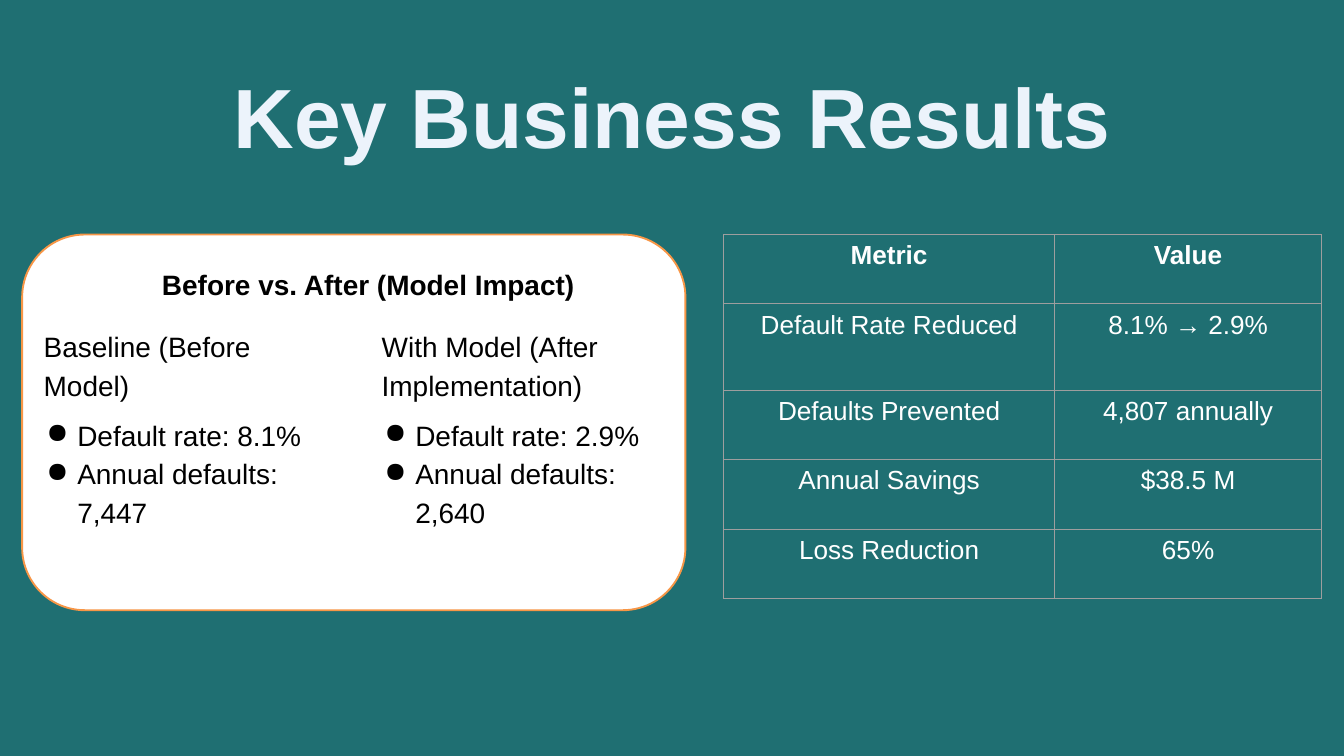
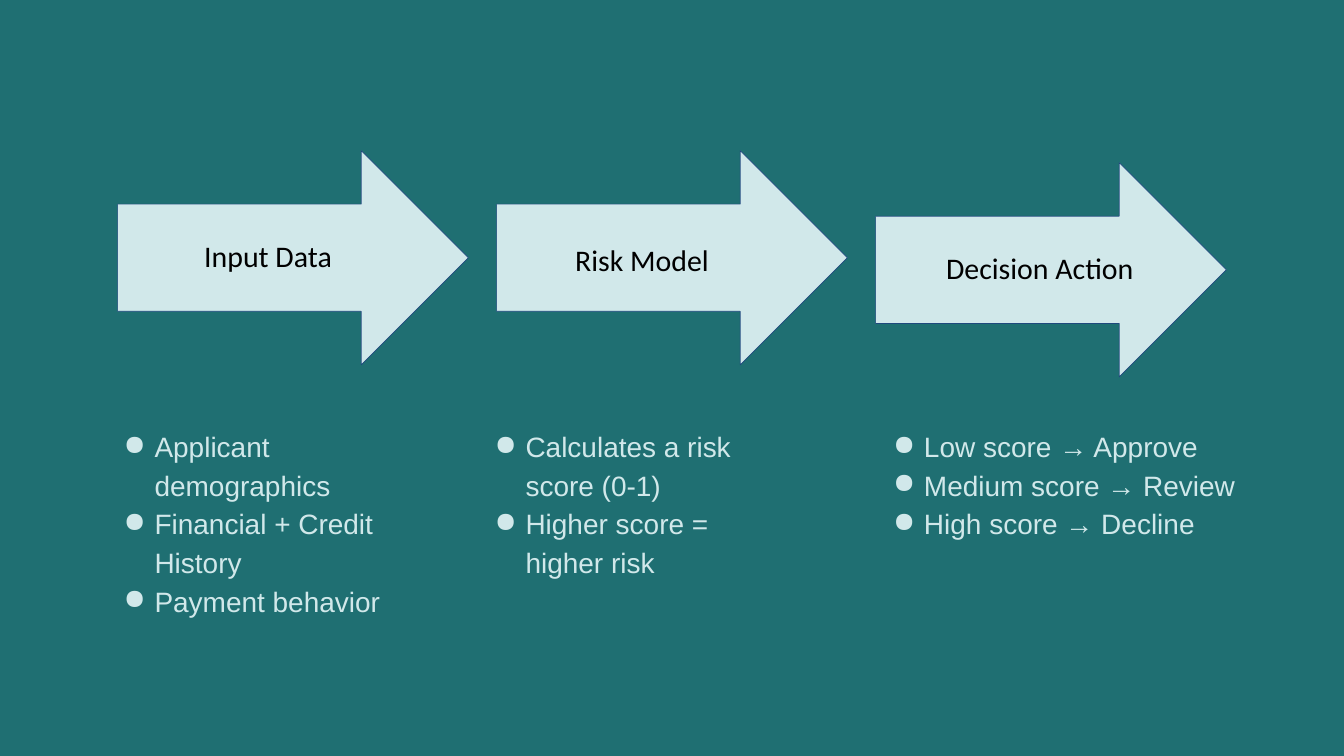
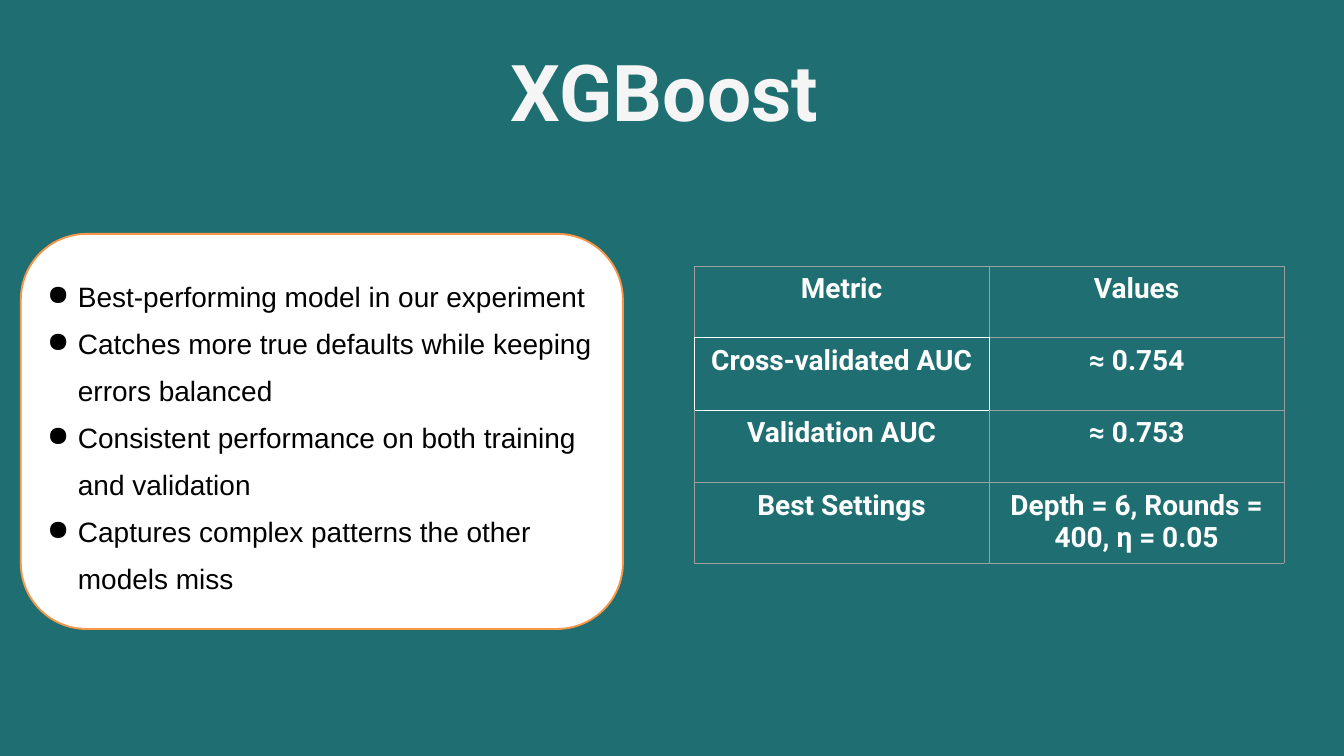
from dataclasses import dataclass
from typing import NamedTuple

from lxml.etree import SubElement
from pptx import Presentation
from pptx.dml.color import RGBColor
from pptx.enum.shapes import MSO_SHAPE
from pptx.enum.text import PP_ALIGN
from pptx.oxml import parse_xml
from pptx.oxml.ns import nsdecls, qn
from pptx.util import Emu, Pt

PX = 9144  # EMU per px, 100 px to the inch
CELL_INSET = 10
BULLET_INDENT, BULLET_HANG = 50, 46

COLORS = {
    "background": "1F6F72",
    "card": "FFFFFF",
    "card_line": "F79646",
    "arrow": "D1E8EA",
    "arrow_line": "1F497D",
    "results_title": "ECF3FB",
    "model_title": "F5F5F5",
    "ink": "000000",
    "table_text": "FFFFFF",
    "grid": "9E9E9E",
    "grid_highlight": "FFFFFF",
}


class Box(NamedTuple):
    left: int
    top: int
    width: int
    height: int

    def emu(self) -> list[Emu]:
        return [Emu(v * PX) for v in self]


@dataclass(frozen=True)
class Para:
    text: str
    bullet: bool = False
    before: int = 0
    indent: int = 0


@dataclass(frozen=True)
class TableData:
    box: Box
    cols: list[int]
    rows: list[int]
    cells: list[tuple[str, str]]
    font: str
    size: int
    bold_rows: int
    highlight: tuple[int, int] | None = None


@dataclass(frozen=True)
class Stage:
    name: str
    arrow_top: int
    label: Box
    notes: Box
    points: list[str]


def rgb(name: str) -> RGBColor:
    return RGBColor.from_string(COLORS[name])


def bullets(points: list[str], before: int = 0) -> list[Para]:
    """Make bullet paragraphs; only the first takes the space before."""
    return [Para(t, True, 0 if i else before) for i, t in enumerate(points)]


def write(tf, paras: list[Para], *, font="Arial", size=30, color="ink",
          bold=False, align=None, spacing=None) -> None:
    for i, para in enumerate(paras):
        p = tf.add_paragraph() if i else tf.paragraphs[0]
        pPr = p._p.get_or_add_pPr()
        if para.bullet:
            pPr.set("marL", str(BULLET_INDENT * PX))
            pPr.set("indent", str(-BULLET_HANG * PX))
            SubElement(pPr, qn("a:buChar")).set("char", "●")
        elif para.indent:
            pPr.set("marL", str(para.indent * PX))
            pPr.set("indent", "0")
        if align is not None:
            p.alignment = align
        if spacing:
            p.line_spacing = spacing
        if para.before:
            p.space_before = Pt(para.before)
        r = p.add_run()
        r.text = para.text
        r.font.name, r.font.size, r.font.bold = font, Pt(size), bold
        r.font.color.rgb = rgb(color)


def add_text(slide, box: Box, paras: list[Para], *, inset: int = 0, **style) -> None:
    tf = slide.shapes.add_textbox(*box.emu()).text_frame
    tf.word_wrap = True
    tf.margin_left = tf.margin_top = tf.margin_right = tf.margin_bottom = Emu(inset * PX)
    write(tf, paras, **style)


def add_title(slide, box: Box, text: str, **style) -> None:
    add_text(slide, box, [Para(text)], bold=True, align=PP_ALIGN.CENTER, **style)


def add_shape(slide, kind: MSO_SHAPE, box: Box, fill: str, line: str, width: float) -> None:
    sp = slide.shapes.add_shape(kind, *box.emu())
    sp.shadow.inherit = False
    sp.fill.solid()
    sp.fill.fore_color.rgb = rgb(fill)
    sp.line.color.rgb = rgb(line)
    sp.line.width = Pt(width)


def add_card(slide, box: Box) -> None:
    add_shape(slide, MSO_SHAPE.ROUNDED_RECTANGLE, box, "card", "card_line", 2)


def set_borders(cell, colors: dict[str, str]) -> None:
    tcPr = cell._tc.get_or_add_tcPr()
    for i, (side, color) in enumerate(colors.items()):
        tcPr.insert(i, parse_xml(
            f'<a:ln{side} {nsdecls("a")} w="{Pt(0.75)}"><a:solidFill>'
            f'<a:srgbClr val="{COLORS[color]}"/></a:solidFill></a:ln{side}>'))


def border_colors(row: int, col: int, highlight: tuple[int, int] | None) -> dict[str, str]:
    """Colour each edge of a cell, matching the edges shared with the highlight."""
    across = {"L": (row, col - 1), "R": (row, col + 1),
              "T": (row - 1, col), "B": (row + 1, col)}
    return {side: "grid_highlight" if highlight in ((row, col), other) else "grid"
            for side, other in across.items()}


def add_metric_table(slide, data: TableData) -> None:
    table = slide.shapes.add_table(len(data.rows), len(data.cols), *data.box.emu()).table
    table.first_row = table.horz_banding = False
    for col, width in zip(table.columns, data.cols):
        col.width = Emu(width * PX)
    for row, height in zip(table.rows, data.rows):
        row.height = Emu(height * PX)
    for i, texts in enumerate(data.cells):
        for j, text in enumerate(texts):
            cell = table.cell(i, j)
            cell.margin_left = cell.margin_right = Emu(CELL_INSET * PX)
            cell.margin_top = cell.margin_bottom = Emu(CELL_INSET * PX)
            cell.fill.background()
            set_borders(cell, border_colors(i, j, data.highlight))
            write(cell.text_frame, [Para(text)], font=data.font, size=data.size,
                  color="table_text", bold=i < data.bold_rows, align=PP_ALIGN.CENTER)


def new_slide(prs):
    s = prs.slides.add_slide(prs.slide_layouts[6])
    s.background.fill.solid()
    s.background.fill.fore_color.rgb = rgb("background")
    return s


RESULTS = TableData(
    Box(1077, 349, 890, 542), [492, 398], [103, 129, 103, 103, 103],
    [("Metric", "Value"),
     ("Default Rate Reduced", "8.1% → 2.9%"),
     ("Defaults Prevented", "4,807 annually"),
     ("Annual Savings", "$38.5 M"),
     ("Loss Reduction", "65%")],
    font="Arial", size=28, bold_rows=1)

COMPARISON = [
    (Box(65, 483, 446, 266), "Baseline (Before Model)",
     ["Default rate: 8.1%", "Annual defaults: 7,447"]),
    (Box(568, 483, 464, 324), "With Model (After Implementation)",
     ["Default rate: 2.9%", "Annual defaults: 2,640"]),
]

STAGES = [
    Stage("Input Data", 224, Box(294, 344, 218, 78), Box(180, 632, 446, 283),
          ["Applicant demographics", "Financial + Credit History", "Payment behavior"]),
    Stage("Risk Model", 224, Box(846, 350, 242, 78), Box(732, 632, 439, 225),
          ["Calculates a risk score (0-1)", "Higher score = higher risk"]),
    Stage("Decision Action", 242, Box(1398, 362, 300, 78), Box(1325, 632, 536, 167),
          ["Low score → Approve", "Medium score → Review", "High score → Decline"]),
]
ARROW_LEFT, ARROW_STEP, ARROW_WIDTH, ARROW_HEIGHT = 175, 564, 522, 319

MODEL_SCORES = TableData(
    Box(1033, 396, 878, 441), [439, 439], [106, 108, 108, 108],
    [("Metric", "Values"),
     ("Cross-validated AUC", "≈ 0.754"),
     ("Validation AUC", "≈ 0.753"),
     ("Best Settings", "Depth = 6, Rounds = 400, η = 0.05")],
    font="Roboto", size=30, bold_rows=4, highlight=(1, 0))

MODEL_POINTS = [
    "Best-performing model in our experiment",
    "Catches more true defaults while keeping errors balanced",
    "Consistent performance on both training and validation",
    "Captures complex patterns the other models miss",
]


def build_results(prs) -> None:
    s = new_slide(prs)
    add_card(s, Box(33, 349, 987, 559))
    add_title(s, Box(320, 113, 1361, 136), "Key Business Results",
              size=90, color="results_title", spacing=0.9)
    add_text(s, Box(191, 390, 893, 92), [Para("Before vs. After (Model Impact)", indent=50)],
             bold=True, spacing=1.15)
    add_metric_table(s, RESULTS)
    for box, heading, points in COMPARISON:
        add_text(s, box, [Para(heading), *bullets(points, before=12)], spacing=1.15)


def build_process(prs) -> None:
    s = new_slide(prs)
    for i, stage in enumerate(STAGES):
        arrow = Box(ARROW_LEFT + i * ARROW_STEP, stage.arrow_top, ARROW_WIDTH, ARROW_HEIGHT)
        add_shape(s, MSO_SHAPE.RIGHT_ARROW, arrow, "arrow", "arrow_line", 0.75)
        add_text(s, stage.label, [Para(stage.name)], inset=10, font="Calibri", size=32)
        add_text(s, stage.notes, bullets(stage.points), color="arrow", spacing=1.15)


def build_model(prs) -> None:
    s = new_slide(prs)
    add_card(s, Box(31, 348, 896, 588))
    add_title(s, Box(66, 85, 1846, 120), "XGBoost",
              font="Roboto", size=84, color="model_title", spacing=0.85)
    add_metric_table(s, MODEL_SCORES)
    add_text(s, Box(66, 396, 850, 495), bullets(MODEL_POINTS), spacing=1.4)


def main() -> None:
    prs = Presentation()
    prs.slide_width, prs.slide_height = Emu(2000 * PX), Emu(1125 * PX)
    build_results(prs)
    build_process(prs)
    build_model(prs)
    prs.save("out.pptx")


if __name__ == "__main__":
    main()
